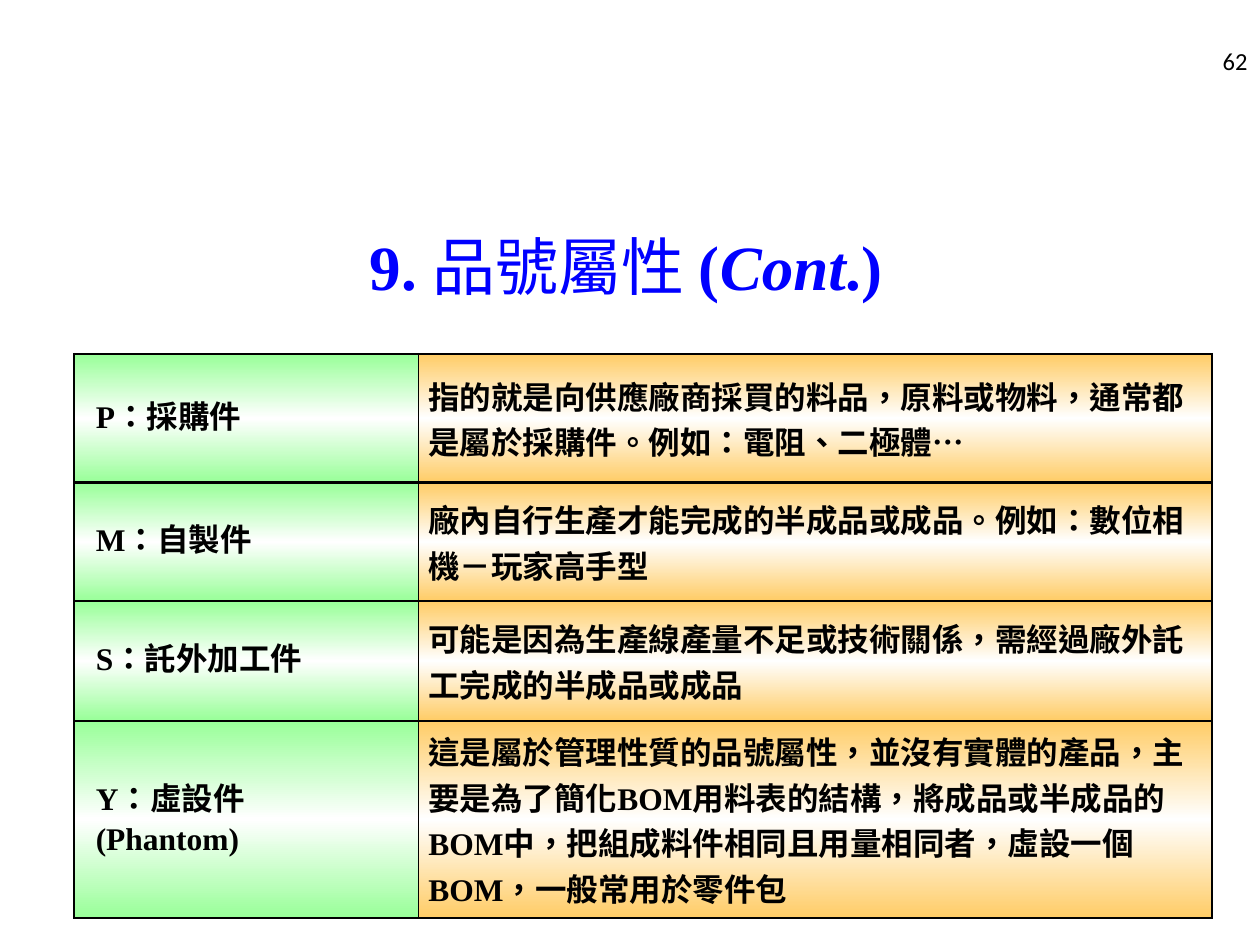
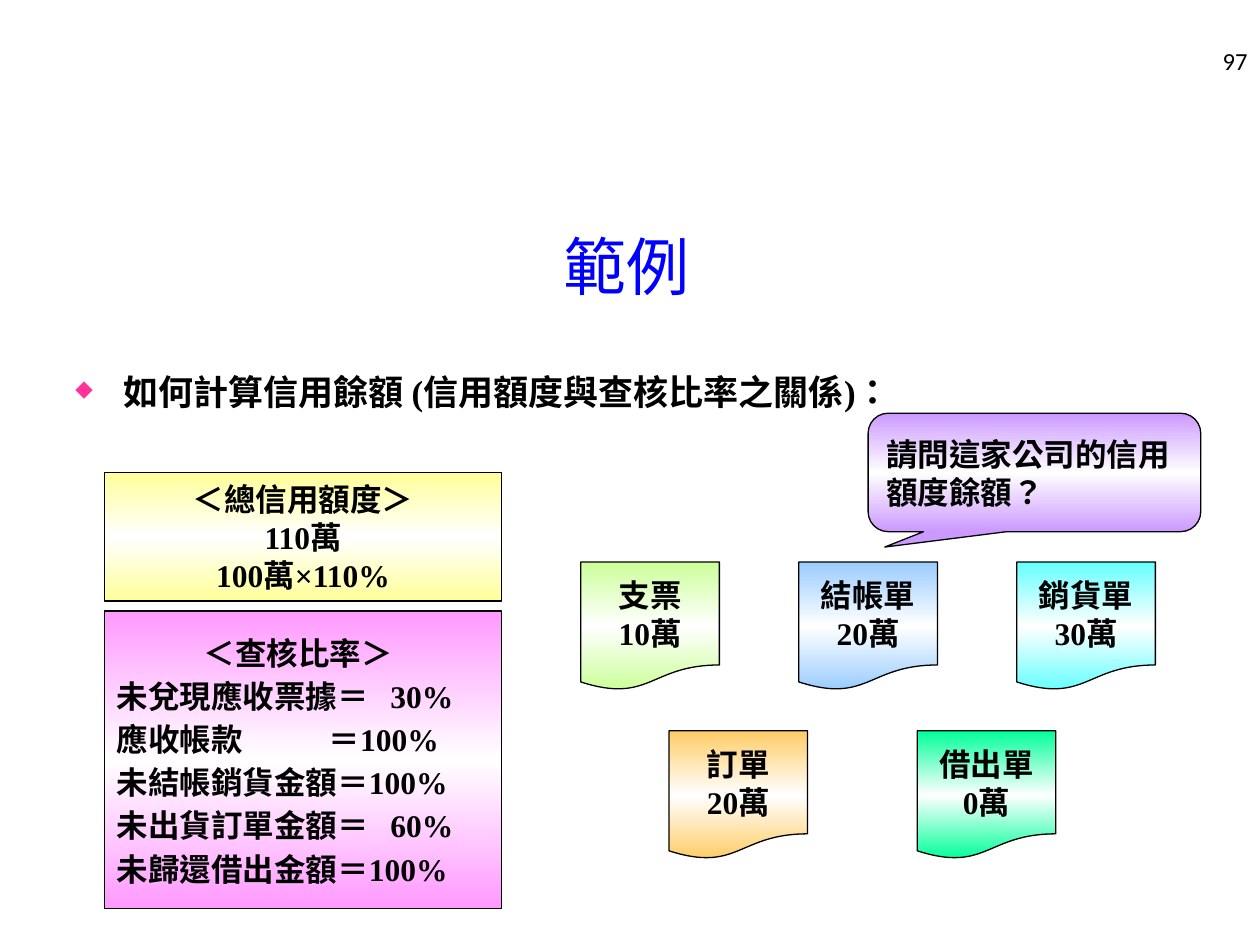
import collections
import copy

import pptx
import pptx.dml.color
import pptx.enum.shapes
import pptx.enum.text
import pptx.oxml
import pptx.oxml.ns
import pptx.util

RGBColor = pptx.dml.color.RGBColor
BLACK = RGBColor(0x00, 0x00, 0x00)
WHITE = RGBColor(0xFF, 0xFF, 0xFF)
TITLE_BLUE = RGBColor(0x00, 0x00, 0xFF)
BULLET_PINK = RGBColor(0xFF, 0x33, 0x99)
LABEL_GREEN = RGBColor(0x99, 0xFF, 0x99)
ORANGE = RGBColor(0xFF, 0xCC, 0x66)
CREDIT_YELLOW = RGBColor(0xFF, 0xFF, 0x99)
RATE_PINK = RGBColor(0xFF, 0x99, 0xFF)
CHECK_GREEN = RGBColor(0xCC, 0xFF, 0x99)
STATEMENT_BLUE = RGBColor(0x99, 0xCC, 0xFF)
SALES_CYAN = RGBColor(0x66, 0xFF, 0xFF)
LOAN_GREEN = RGBColor(0x00, 0xFF, 0x99)
QUESTION_PURPLE = RGBColor(0xCC, 0x99, 0xFF)

SERIF = "Times New Roman"
SANS = "Calibri"
SHAPES = pptx.enum.shapes.MSO_SHAPE
ALIGN = pptx.enum.text.PP_ALIGN
MIDDLE = pptx.enum.text.MSO_ANCHOR.MIDDLE
TIGHT_LINE = pptx.util.Pt(21.7)
LOOSE_LINE = pptx.util.Pt(26)

SLIDE_WIDTH = pptx.util.Inches(10)
SLIDE_HEIGHT = pptx.util.Inches(7.5)
COLUMN = SLIDE_WIDTH / 100
ROW = SLIDE_HEIGHT / 75

Box = collections.namedtuple("Box", "left top width height")
PAGE_NUMBER_BOX = Box(76.7, 2.8, 23.3, 4)
TITLE_BOX = Box(4.7, 14.8, 90, 12.5)
TABLE_BOX = Box(5.9, 28.1, 90.3, 44.7)
TOPIC_BOX = Box(5, 28.9, 90, 5.5)
CREDIT_BOX = Box(8.3, 37.5, 31.5, 10.2)
RATE_BOX = Box(8.3, 48.5, 31.5, 23.6)
QUESTION_BOX = Box(68.9, 32.8, 26.4, 9.4)
UPPER_DOCUMENTS_BOX = Box(46.1, 44.6, 45.6, 10.2)
LOWER_DOCUMENTS_BOX = Box(53.1, 58, 30.7, 10.2)
DOCUMENT_WIDTH = 11

LABEL_WIDTH = 27.3
ATTRIBUTES = [
    (10.2, "P：採購件",
     "指的就是向供應廠商採買的料品，原料或物料，通常都是屬於採購件。例如：電阻、二極體…"),
    (9.4, "M：自製件", "廠內自行生產才能完成的半成品或成品。例如：數位相機－玩家高手型"),
    (9.5, "S：託外加工件", "可能是因為生產線產量不足或技術關係，需經過廠外託工完成的半成品或成品"),
    (15.6, "Y：虛設件 (Phantom)",
     "這是屬於管理性質的品號屬性，並沒有實體的產品，主要是為了簡化BOM用料表的結構，"
     "將成品或半成品的BOM中，把組成料件相同且用量相同者，虛設一個BOM，一般常用於零件包"),
]
UPPER_DOCUMENTS = [
    ("支票", "10萬", CHECK_GREEN),
    ("結帳單", "20萬", STATEMENT_BLUE),
    ("銷貨單", "30萬", SALES_CYAN),
]
LOWER_DOCUMENTS = [("訂單", "20萬", ORANGE), ("借出單", "0萬", LOAN_GREEN)]
RATES = [
    "＜查核比率＞",
    "未兌現應收票據＝\t30%",
    "應收帳款\t＝100%",
    "未結帳銷貨金額＝100%",
    "未出貨訂單金額＝\t60%",
    "未歸還借出金額＝100%",
]


def place(box):
    """Turn a grid box into slide lengths."""
    return (round(box.left * COLUMN), round(box.top * ROW),
            round(box.width * COLUMN), round(box.height * ROW))


def add_run(paragraph, text, size=18, color=BLACK, bold=True, italic=False, font_name=SERIF):
    """Add one formatted run to a paragraph."""
    run = paragraph.add_run()
    run.text = text
    run.font.name = font_name
    run.font.size = pptx.util.Pt(size)
    run.font.color.rgb = color
    run.font.bold = bold
    run.font.italic = italic
    run._r.get_or_add_rPr().set("lang", "zh-TW")


def add_lines(text_frame, lines, align=ALIGN.LEFT, line_spacing=TIGHT_LINE):
    """Write body lines as paragraphs and return them."""
    text_frame.vertical_anchor = MIDDLE
    for index, line in enumerate(lines):
        paragraph = text_frame.add_paragraph() if index else text_frame.paragraphs[0]
        paragraph.alignment = align
        paragraph.line_spacing = line_spacing
        add_run(paragraph, line)
    return text_frame.paragraphs


def set_indent(paragraph, margin, first=0):
    """Set the left margin and first-line indent in inches."""
    properties = paragraph._p.get_or_add_pPr()
    properties.set("marL", str(pptx.util.Inches(margin)))
    properties.set("indent", str(pptx.util.Inches(first)))


def add_element(parent, xml, index=None):
    """Insert a drawing element written as XML with a namespace mark."""
    namespace = pptx.oxml.ns.nsdecls("a")
    element = pptx.oxml.parse_xml(xml.replace("NS", namespace, 1))
    parent.insert(len(parent) if index is None else index, element)


def fill_sheen(fill, properties, color):
    """Fill from a colour to white in the middle and back, top to bottom."""
    fill.gradient()
    fill.gradient_angle = 90
    stops = properties.find(".//" + pptx.oxml.ns.qn("a:gsLst"))
    stops.append(copy.deepcopy(stops[0]))
    for stop, position, stop_color in zip(fill.gradient_stops, (0, 0.5, 1), (color, WHITE, color)):
        stop.position = position
        stop.color.rgb = stop_color


def add_text_box(slide, box):
    """Add a wrapping text box and return its text frame."""
    text_frame = slide.shapes.add_textbox(*place(box)).text_frame
    text_frame.word_wrap = True
    return text_frame


def add_sheen_shape(slide, kind, box, color):
    """Add an outlined shape with a sheen fill."""
    shape = slide.shapes.add_shape(kind, *place(box))
    shape.shadow.inherit = False
    fill_sheen(shape.fill, shape._element.spPr, color)
    shape.line.color.rgb = BLACK
    shape.line.width = pptx.util.Pt(0.75)
    shape.text_frame.word_wrap = True
    return shape


def add_frame(presentation, page_number, title_runs):
    """Add a blank slide with its page number and title."""
    slide = presentation.slides.add_slide(presentation.slide_layouts[6])
    number_frame = add_text_box(slide, PAGE_NUMBER_BOX)
    number_frame.vertical_anchor = MIDDLE
    number_frame.paragraphs[0].alignment = ALIGN.RIGHT
    add_run(number_frame.paragraphs[0], page_number, 14, bold=False, font_name=SANS)
    title_frame = add_text_box(slide, TITLE_BOX)
    title_frame.vertical_anchor = MIDDLE
    title_frame.paragraphs[0].alignment = ALIGN.CENTER
    for text, bold, italic in title_runs:
        add_run(title_frame.paragraphs[0], text, 36, TITLE_BLUE, bold, italic)
    return slide


def format_cell(cell, color, border_widths):
    """Give a cell its margins, sheen and left, right, top and bottom borders."""
    cell.margin_left = cell.margin_right = pptx.util.Inches(0.08)
    cell.margin_top = cell.margin_bottom = pptx.util.Inches(0.06)
    cell.vertical_anchor = MIDDLE
    properties = cell._tc.get_or_add_tcPr()
    fill_sheen(cell.fill, properties, color)
    for index, (side, width) in enumerate(zip("LRTB", border_widths)):
        add_element(properties, f'<a:ln{side} NS w="{pptx.util.Pt(width)}"><a:solidFill>'
                    f'<a:srgbClr val="{BLACK}"/></a:solidFill></a:ln{side}>', index)


def draw_attribute(slide, box, label, description):
    """Draw one attribute as a label cell beside a description cell."""
    table = slide.shapes.add_table(1, 2, *place(box)).table
    table.first_row = table.horz_banding = False
    table.columns[0].width = round(LABEL_WIDTH * COLUMN)
    table.columns[1].width = round((box.width - LABEL_WIDTH) * COLUMN)
    label_cell, description_cell = table.cell(0, 0), table.cell(0, 1)
    format_cell(label_cell, LABEL_GREEN, (1.5, 1, 1.5, 1.5))
    label_cell.margin_right = pptx.util.Inches(0.3)
    set_indent(add_lines(label_cell.text_frame, [label])[0], 0.09)
    format_cell(description_cell, ORANGE, (1, 1.5, 1.5, 1.5))
    add_lines(description_cell.text_frame, [description], line_spacing=LOOSE_LINE)


def draw_attributes(slide, box):
    """Stack the attributes from the top of the box."""
    top = box.top
    for height, label, description in ATTRIBUTES:
        draw_attribute(slide, Box(box.left, top, box.width, height), label, description)
        top += height


def draw_topic(slide, box):
    """Draw the bulleted topic line."""
    paragraph = add_text_box(slide, box).paragraphs[0]
    set_indent(paragraph, 0.38, -0.38)
    properties = paragraph._p.get_or_add_pPr()
    add_element(properties, f'<a:buClr NS><a:srgbClr val="{BULLET_PINK}"/></a:buClr>')
    add_element(properties, '<a:buSzPct NS val="65000"/>')
    add_element(properties, '<a:buChar NS char="◆"/>')
    paragraph.line_spacing = pptx.util.Pt(24)
    add_run(paragraph, "如何計算信用餘額 (信用額度與查核比率之關係)：", 20)


def draw_credit(slide, box):
    """Draw the total credit panel."""
    shape = add_sheen_shape(slide, SHAPES.RECTANGLE, box, CREDIT_YELLOW)
    add_lines(shape.text_frame, ["＜總信用額度＞", "110萬", "100萬×110%"], ALIGN.CENTER)


def draw_rates(slide, box):
    """Draw the check rate panel with tabbed figures."""
    shape = add_sheen_shape(slide, SHAPES.RECTANGLE, box, RATE_PINK)
    heading, *rates = add_lines(shape.text_frame, RATES, line_spacing=pptx.util.Pt(22.8))
    set_indent(heading, 0.69)
    for paragraph in rates:
        paragraph.space_before = pptx.util.Pt(1.8)
        tabs = "".join(f'<a:tab pos="{pptx.util.Inches(stop)}" algn="l"/>' for stop in (1.68, 2.17))
        add_element(paragraph._p.get_or_add_pPr(), f"<a:tabLst NS>{tabs}</a:tabLst>")


def draw_documents(slide, box, documents):
    """Spread document shapes evenly over the width of the box."""
    step = (box.width - DOCUMENT_WIDTH) / (len(documents) - 1)
    for index, (name, amount, color) in enumerate(documents):
        document_box = Box(box.left + index * step, box.top, DOCUMENT_WIDTH, box.height)
        shape = add_sheen_shape(slide, SHAPES.FLOWCHART_DOCUMENT, document_box, color)
        shape.text_frame.word_wrap = False
        add_lines(shape.text_frame, [name, amount], ALIGN.CENTER)


def draw_question(slide, box):
    """Draw the question in a speech bubble."""
    shape = add_sheen_shape(slide, SHAPES.ROUNDED_RECTANGULAR_CALLOUT, box, QUESTION_PURPLE)
    for index, value in enumerate((-0.45, 0.63, 0.17)):
        shape.adjustments[index] = value
    add_lines(shape.text_frame, ["請問這家公司的信用額度餘額？"])


def build_attribute_slide(presentation):
    """Build the slide that explains the item attributes."""
    title_runs = [("9. ", True, False), ("品號屬性 ", False, False), ("(", True, False),
                  ("Cont", True, True), (".)", True, False)]
    slide = add_frame(presentation, "62", title_runs)
    draw_attributes(slide, TABLE_BOX)


def build_credit_slide(presentation):
    """Build the slide with the credit balance example."""
    slide = add_frame(presentation, "97", [("範例", False, False)])
    draw_topic(slide, TOPIC_BOX)
    draw_credit(slide, CREDIT_BOX)
    draw_rates(slide, RATE_BOX)
    draw_documents(slide, UPPER_DOCUMENTS_BOX, UPPER_DOCUMENTS)
    draw_documents(slide, LOWER_DOCUMENTS_BOX, LOWER_DOCUMENTS)
    draw_question(slide, QUESTION_BOX)


def main():
    """Build and save the presentation."""
    presentation = pptx.Presentation()
    presentation.slide_width = SLIDE_WIDTH
    presentation.slide_height = SLIDE_HEIGHT
    build_attribute_slide(presentation)
    build_credit_slide(presentation)
    presentation.save("out.pptx")


if __name__ == "__main__":
    main()
